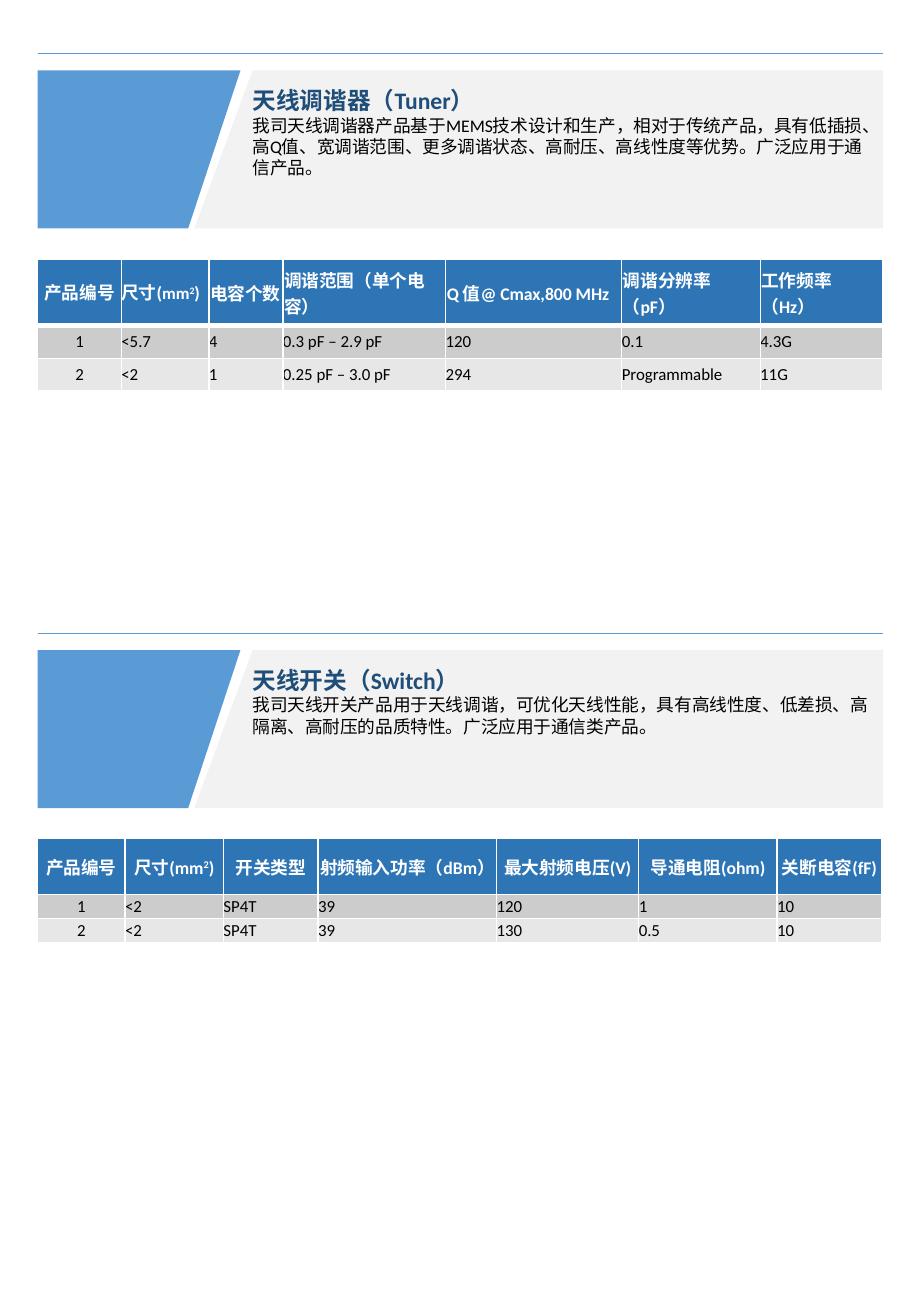
from lxml import etree
from pptx import Presentation, util as u
from pptx.dml.color import RGBColor
from pptx.enum import shapes, text
from pptx.oxml import ns

PX = 9144
WHITE = RGBColor(0xFF, 0xFF, 0xFF)
BLACK = RGBColor(0, 0, 0)
PALE = RGBColor(0xF2, 0xF2, 0xF2)
BLUE = RGBColor(0x5B, 0x9B, 0xD5)
NAVY = RGBColor(0x1F, 0x4E, 0x79)
HEADER_BLUE = RGBColor(0x2E, 0x75, 0xB6)
BANDS = [RGBColor(0xCC, 0xCC, 0xCC), RGBColor(0xE7, 0xE7, 0xE7)]

HEADING = {"size": u.Pt(14), "bold": True, "name": "Calibri"}
BODY = {"size": u.Pt(10.5), "bold": False, "name": "Calibri"}
COLUMN_NAME = {"size": u.Pt(10.5), "bold": True, "name": "Calibri"}
VALUE = {"size": u.Pt(10), "bold": False, "name": "Calibri"}

TUNER = {
    "heading": "天线调谐器（Tuner）",
    "body": "我司天线调谐器产品基于MEMS技术设计和生产，相对于传统产品，具有低插损、高Q值、宽调谐范围、"
            "更多调谐状态、高耐压、高线性度等优势。广泛应用于通信产品。",
    "text_height": 87,
    "widths": [69, 72, 61, 134, 145, 114, 101],
    "heights": [55, 27, 27],
    "unit_size": 10,
    "header_rule": 3,
    "header_align": text.PP_ALIGN.LEFT,
    "rows": [
        ["产品编号", "尺寸(mm2)", "电容个数", "调谐范围（单个电容）",
         "Q 值@ Cmax,800 MHz", "调谐分辨率（pF）", "工作频率（Hz）"],
        ["1", "<5.7", "4", "0.3 pF – 2.9 pF", "120", "0.1", "4.3G"],
        ["2", "<2", "1", "0.25 pF – 3.0 pF", "294", "Programmable", "11G"],
    ],
}
SWITCH = {
    "heading": "天线开关（Switch）",
    "body": "我司天线开关产品用于天线调谐，可优化天线性能，具有高线性度、低差损、高隔离、高耐压的品质特性。"
            "广泛应用于通信类产品。",
    "text_height": 69,
    "widths": [72, 81, 78, 147, 117, 114, 86],
    "heights": [46, 20, 20],
    "unit_size": 10.5,
    "header_rule": 1,
    "header_align": text.PP_ALIGN.CENTER,
    "rows": [
        ["产品编号", "尺寸(mm2)", "开关类型", "射频输入功率（dBm）",
         "最大射频电压(V)", "导通电阻(ohm)", "关断电容(fF)"],
        ["1", "<2", "SP4T", "39", "120", "1", "10"],
        ["2", "<2", "SP4T", "39", "130", "0.5", "10"],
    ],
}


def px(*lengths):
    """Turn px lengths into EMU."""
    return [u.Emu(length * PX) for length in lengths]


def add_run(paragraph, wording, style, color):
    """Append a formatted run to a paragraph."""
    run = paragraph.add_run()
    run.text = wording
    for key, value in style.items():
        setattr(run.font, key, value)
    run.font.color.rgb = color
    return run


def add_panel(slide, corners, color):
    """Draw a filled polygon without an outline."""
    builder = slide.shapes.build_freeform(*corners[0], scale=PX)
    builder.add_line_segments(corners[1:], close=True)
    panel = builder.convert_to_shape()
    panel.shadow.inherit = False
    panel.fill.solid()
    panel.fill.fore_color.rgb = color
    panel.line.fill.background()


def add_rule(slide, left, top, width):
    """Draw the thin line above a section."""
    rule = slide.shapes.add_connector(
        shapes.MSO_CONNECTOR.STRAIGHT, *px(left, top, left + width, top))
    rule.line.color.rgb = BLUE
    rule.line.width = u.Pt(0.5)
    etree.SubElement(rule._element.spPr, ns.qn("a:effectLst"))


def add_banner(slide, left, top, width, product):
    """Draw the slanted banner with the heading and description."""
    right, bottom = left + width, top + 130
    add_panel(slide, [(left + 177, top), (right, top), (right, bottom), (left + 129, bottom)], PALE)
    add_panel(slide, [(left, top), (left + 167, top), (left + 124, bottom), (left, bottom)], BLUE)
    intro = slide.shapes.add_textbox(
        *px(left + 167, top + 8, width - 167, product["text_height"])).text_frame
    intro.word_wrap = True
    intro.auto_size = text.MSO_AUTO_SIZE.SHAPE_TO_FIT_TEXT
    add_run(intro.paragraphs[0], product["heading"], HEADING, NAVY)
    add_run(intro.add_paragraph(), product["body"], BODY, BLACK)


def add_borders(cell, top_width, bottom_width):
    """Give a cell white borders."""
    properties = cell._tc.get_or_add_tcPr()
    for side, width in zip("LRTB", (1, 1, top_width, bottom_width)):
        border = etree.SubElement(properties, ns.qn(f"a:ln{side}"), w=str(u.Pt(width)))
        fill = etree.SubElement(border, ns.qn("a:solidFill"))
        etree.SubElement(fill, ns.qn("a:srgbClr"), val=str(WHITE))


def add_column_name(paragraph, name, unit_size):
    """Write a column name, raising the 2 of a square unit."""
    before, unit, after = name.partition("mm2")
    add_run(paragraph, before, COLUMN_NAME, WHITE)
    if unit:
        unit_style = {**COLUMN_NAME, "size": u.Pt(unit_size)}
        add_run(paragraph, "mm", unit_style, WHITE)
        square = add_run(paragraph, "2", unit_style, WHITE)
        square._r.get_or_add_rPr().set("baseline", "30000")
        add_run(paragraph, after, COLUMN_NAME, WHITE)


def add_specs(slide, left, top, width, product):
    """Build the table of product values."""
    rows, widths, heights = product["rows"], product["widths"], product["heights"]
    specs = slide.shapes.add_table(
        len(rows), len(widths), *px(left, top, width, sum(heights))).table
    for column, column_width in zip(specs.columns, px(*widths)):
        column.width = column_width
    for row, row_height in zip(specs.rows, px(*heights)):
        row.height = row_height
    for r, values in enumerate(rows):
        for c, value in enumerate(values):
            cell = specs.cell(r, c)
            inset = px(1 if r == 0 and c > 1 else 0)[0]
            layout = {"margin_left": inset, "margin_right": inset, "margin_top": inset,
                      "margin_bottom": 0, "vertical_anchor": text.MSO_ANCHOR.MIDDLE}
            for key, setting in layout.items():
                setattr(cell, key, setting)
            rule = product["header_rule"]
            add_borders(cell, rule if r == 1 else 1, rule if r == 0 else 1)
            cell.fill.solid()
            cell.fill.fore_color.rgb = BANDS[(r - 1) % 2] if r else HEADER_BLUE
            paragraph = cell.text_frame.paragraphs[0]
            if c == 0:
                paragraph.alignment = text.PP_ALIGN.CENTER
            else:
                paragraph.alignment = text.PP_ALIGN.LEFT if r else product["header_align"]
            if r:
                add_run(paragraph, value, VALUE, BLACK)
            else:
                add_column_name(paragraph, value, product["unit_size"])


def add_section(slide, left, top, width, product):
    """Place one product section: rule, banner and table."""
    add_rule(slide, left, top, width)
    add_banner(slide, left, top + 14, width, product)
    add_specs(slide, left, top + 169, width, product)


def main():
    """Build the slide and save it."""
    deck = Presentation()
    deck.slide_width, deck.slide_height = px(750, 1083)
    slide = deck.slides.add_slide(deck.slide_layouts[6])
    for index, product in enumerate([TUNER, SWITCH]):
        add_section(slide, 31, 44 + 477 * index, 696, product)
    deck.save("out.pptx")


if __name__ == "__main__":
    main()
